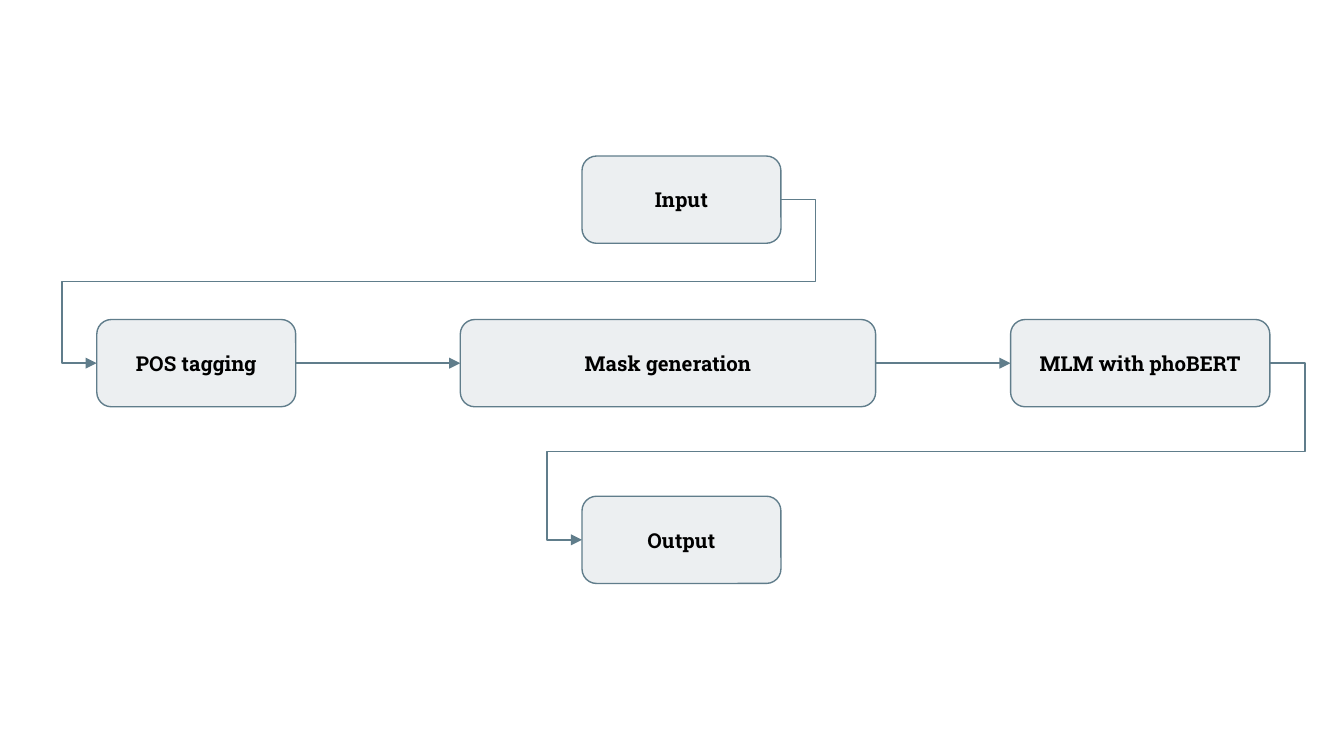
from pptx import Presentation
from pptx.dml.color import RGBColor
from pptx.enum.shapes import MSO_CONNECTOR, MSO_SHAPE
from pptx.enum.text import MSO_ANCHOR, PP_ALIGN
from pptx.oxml.ns import qn
from pptx.util import Cm, Pt
from lxml import etree

ROUND = MSO_SHAPE.ROUNDED_RECTANGLE
ELBOW = MSO_CONNECTOR.ELBOW
MIDDLE = MSO_ANCHOR.MIDDLE
CENTER = PP_ALIGN.CENTER

PALE = RGBColor(0xEC, 0xEF, 0xF1)
SLATE = RGBColor(0x60, 0x7D, 0x8B)
BLACK = RGBColor(0, 0, 0)

LEFT, RIGHT = 1, 3
REACH = Cm(0.66)
HIGH = 1.65
WIDE = 3.76
MID = 11
ROW = 6.04

FRAME = dict(word_wrap=True, vertical_anchor=MIDDLE,
             **{f"margin_{side}": Cm(0.25)
                for side in ("left", "right", "top", "bottom")})
FONT = dict(name="Roboto Slab", size=Pt(11), bold=True)

STEPS = [
    ("Input", (MID, 2.95, WIDE, HIGH)),
    ("POS tagging", (1.83, ROW, WIDE, HIGH)),
    ("Mask generation", (8.7, ROW, 7.85, HIGH)),
    ("MLM with phoBERT", (19.1, ROW, 4.9, HIGH)),
    ("Output", (MID, 9.38, WIDE, HIGH)),
]


def style(item, values):
    for name, value in values.items():
        setattr(item, name, value)


def outline(item):
    item.line.color.rgb = SLATE
    item.line.width = Pt(0.75)


def add_step(slide, text, box):
    step = slide.shapes.add_shape(ROUND, *map(Cm, box))
    step.shadow.inherit = False
    step.fill.solid()
    step.fill.fore_color.rgb = PALE
    outline(step)
    style(step.text_frame, FRAME)
    para = step.text_frame.paragraphs[0]
    para.text = text
    para.alignment = CENTER
    style(para.font, FONT)
    para.font.color.rgb = BLACK
    return step


def wrap_back(link):
    geom = link.element.spPr.find(qn("a:prstGeom"))
    geom.set("prst", "bentConnector5")
    guides = geom.find(qn("a:avLst"))
    over = REACH / link.width
    for num, part in enumerate((-over, 0.5, 1 + over), 1):
        etree.SubElement(guides, qn("a:gd"), name=f"adj{num}",
                         fmla=f"val {round(part * 100000)}")


def add_link(slide, start, end):
    link = slide.shapes.add_connector(ELBOW, 0, 0, 0, 0)
    link.begin_connect(start, RIGHT)
    link.end_connect(end, LEFT)
    outline(link)
    props = link.element.spPr
    etree.SubElement(props.find(qn("a:ln")), qn("a:tailEnd"), type="triangle")
    etree.SubElement(props, qn("a:effectLst"))
    if link.end_x < link.begin_x:
        wrap_back(link)


def add_flow(slide, steps):
    shapes = [add_step(slide, text, box) for text, box in steps]
    for start, end in zip(shapes, shapes[1:]):
        add_link(slide, start, end)


def main():
    deck = Presentation()
    style(deck, dict(slide_width=Cm(25.4), slide_height=Cm(14.29)))
    slide = deck.slides.add_slide(deck.slide_layouts[6])
    add_flow(slide, STEPS)
    deck.save("out.pptx")


if __name__ == "__main__":
    main()
